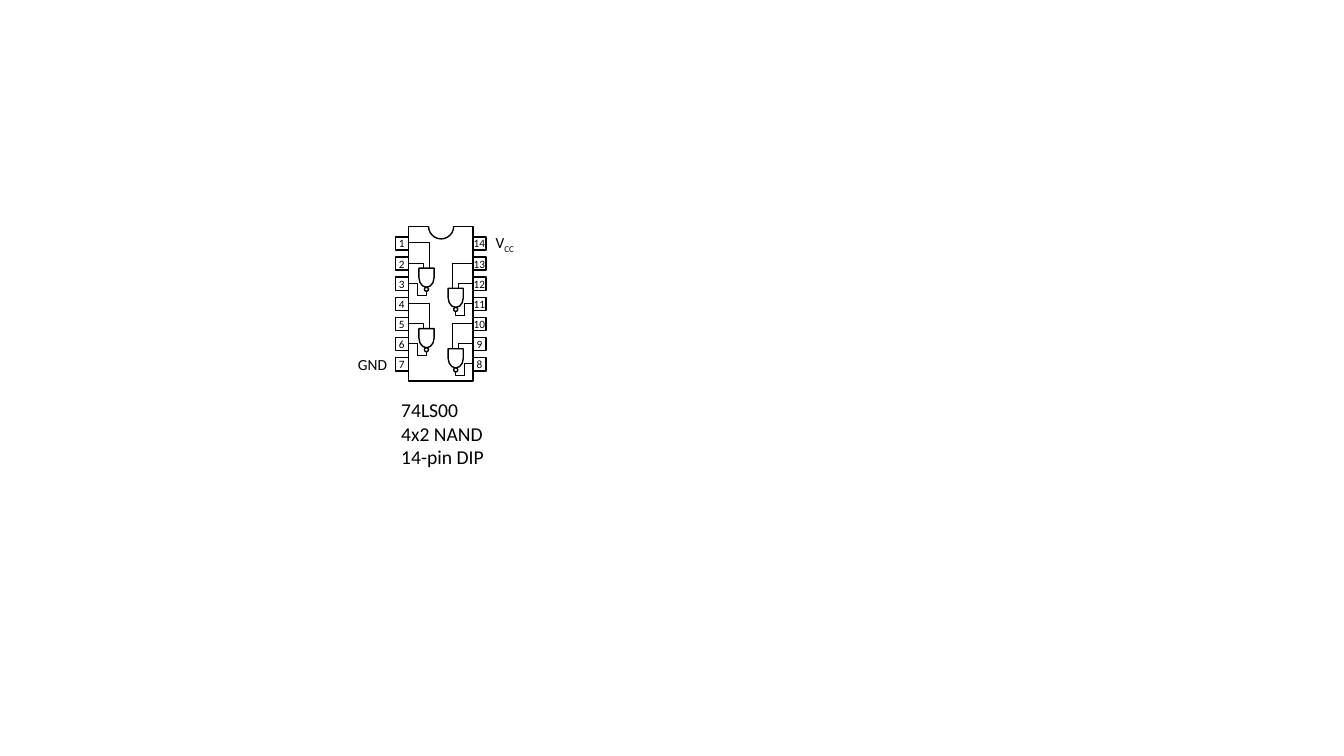
"""Draw a 74LS00 quad NAND chip with its pin numbers and gate wiring."""
from pptx import Presentation
from pptx.dml.color import RGBColor
from pptx.enum.shapes import MSO_SHAPE as Shape
from pptx.enum.text import MSO_AUTO_SIZE as AutoSize, PP_ALIGN as Align
from pptx.util import Inches, Pt

BLACK, WHITE = "000000", "FFFFFF"
PIN_ROWS = 7
PIN_PITCH = 0.2
GATE_PITCH = 3 * PIN_PITCH
FRAME_FORMAT = {"word_wrap": True, "auto_size": AutoSize.SHAPE_TO_FIT_TEXT}
NOTCH_ANGLES = {0: 0, 1: 108}
GATE_WIRES = [
    [(-0.03, 0), (-0.03, -0.05), (-0.17, -0.05)],
    [(0, 0.21), (0, 0.27), (-0.09, 0.27)],
    [(-0.09, 0.27), (-0.09, 0.15), (-0.17, 0.15)],
    [(0.03, 0), (0.03, -0.25), (-0.17, -0.25)],
]


def color(hex_value):
    """Turn a hex string into a colour."""
    return RGBColor.from_string(hex_value)


def apply_format(target, values):
    """Set each named attribute on the target."""
    for name, value in values.items():
        setattr(target, name, value)


def paint(shape, fill=None, line_width=None):
    """Give a shape its fill and black outline, without shadow."""
    shape.shadow.inherit = False
    if fill:
        shape.fill.solid()
        shape.fill.fore_color.rgb = color(fill)
    else:
        shape.fill.background()
    if line_width:
        shape.line.width = Pt(line_width)
        shape.line.color.rgb = color(BLACK)
    else:
        shape.line.fill.background()


def add_part(shapes, preset, box, fill=None, line_width=1):
    """Add a preset shape at a box given in inches."""
    part = shapes.add_shape(preset, *map(Inches, box))
    paint(part, fill, line_width)
    return part


def add_label(shapes, box, lines, size, align=Align.CENTER):
    """Add text lines, each a list of (text, baseline) runs."""
    label = shapes.add_textbox(*map(Inches, box))
    frame = label.text_frame
    apply_format(frame, FRAME_FORMAT)
    for index, line in enumerate(lines):
        paragraph = frame.add_paragraph() if index else frame.paragraphs[0]
        paragraph.alignment = align
        for text, baseline in line:
            run = paragraph.add_run()
            run.text = text
            apply_format(run.font, {"name": "Calibri", "size": Pt(size)})
            run.font.color.rgb = color(BLACK)
            if baseline:
                run._r.get_or_add_rPr().set("baseline", str(baseline))


def add_wire(shapes, points):
    """Add an open bent wire through points in inches."""
    start, *rest = [(Inches(x), Inches(y)) for x, y in points]
    builder = shapes.build_freeform(*start, scale=1.0)
    builder.add_line_segments(rest, close=False)
    paint(builder.convert_to_shape(), line_width=0.75)


def add_package(shapes):
    """Add the pins, body, notch and pin numbers."""
    for row in range(PIN_ROWS):
        add_part(shapes, Shape.RECTANGLE, (3.92, 2.35 + row * PIN_PITCH, 0.9, 0.13))
    add_part(shapes, Shape.RECTANGLE, (4.05, 2.25, 0.64, 1.53), WHITE)
    add_part(shapes, Shape.RECTANGLE, (4.25, 2.19, 0.25, 0.11), WHITE, None)
    notch = add_part(shapes, Shape.ARC, (4.25, 2.12, 0.25, 0.25))
    for index, angle in NOTCH_ANGLES.items():
        notch.adjustments[index] = angle
    for row in range(PIN_ROWS):
        top = 2.3 + row * PIN_PITCH
        left_pin, right_pin = row + 1, 2 * PIN_ROWS - row
        add_label(shapes, (3.8, top, 0.37, 0.24), [[(str(left_pin), 0)]], 8)
        add_label(shapes, (4.56, top, 0.39, 0.24), [[(str(right_pin), 0)]], 8)


def add_nand_gate(shapes, center, top, side):
    """Add a downward NAND gate wired to the left (1) or right (-1)."""
    for wire in GATE_WIRES:
        add_wire(shapes, [(center + side * x, top + y) for x, y in wire])
    body = add_part(shapes, Shape.FLOWCHART_DELAY, (center - 0.095, top + 0.02, 0.19, 0.15), WHITE)
    body.rotation = 90
    add_part(shapes, Shape.OVAL, (center - 0.02, top + 0.19, 0.04, 0.04), WHITE)


def main():
    """Build the slide and save it."""
    deck = Presentation()
    apply_format(deck, {"slide_width": Inches(13.33), "slide_height": Inches(7.5)})
    shapes = deck.slides.add_slide(deck.slide_layouts[6]).shapes
    add_package(shapes.add_group_shape().shapes)
    add_label(shapes, (4.78, 2.26, 0.45, 0.29), [[("V", 0), ("CC", -25000)]], 11)
    add_label(shapes, (3.44, 3.47, 0.51, 0.29), [[("GND", 0)]], 11)
    caption = [[(text, 0)] for text in ("74LS00", "4x2 NAND", "14-pin DIP")]
    add_label(shapes, (3.88, 3.9, 1.25, 0.81), caption, 14, Align.LEFT)
    for center, first_top, side in ((4.52, 2.86, -1), (4.23, 2.66, 1)):
        for row in (1, 0):
            gate = shapes.add_group_shape().shapes
            add_nand_gate(gate, center, first_top + row * GATE_PITCH, side)
    deck.save("out.pptx")


main()
